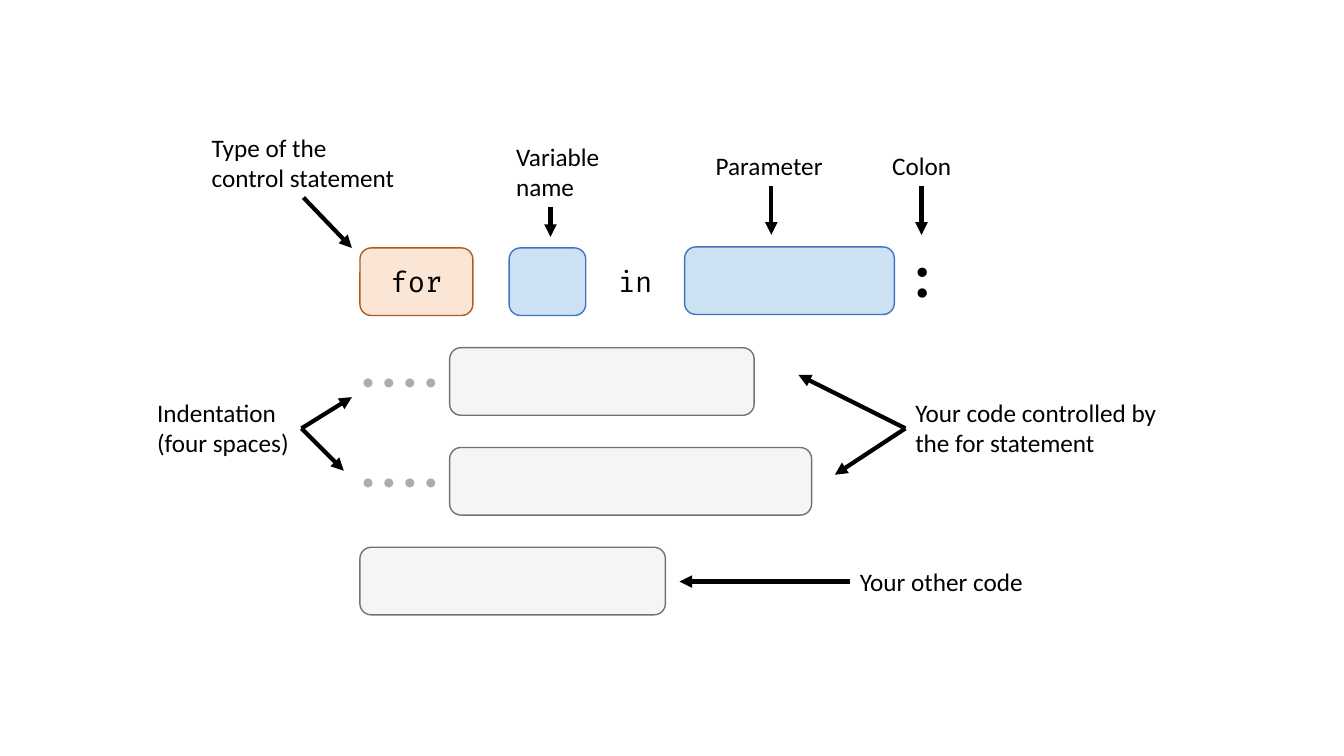
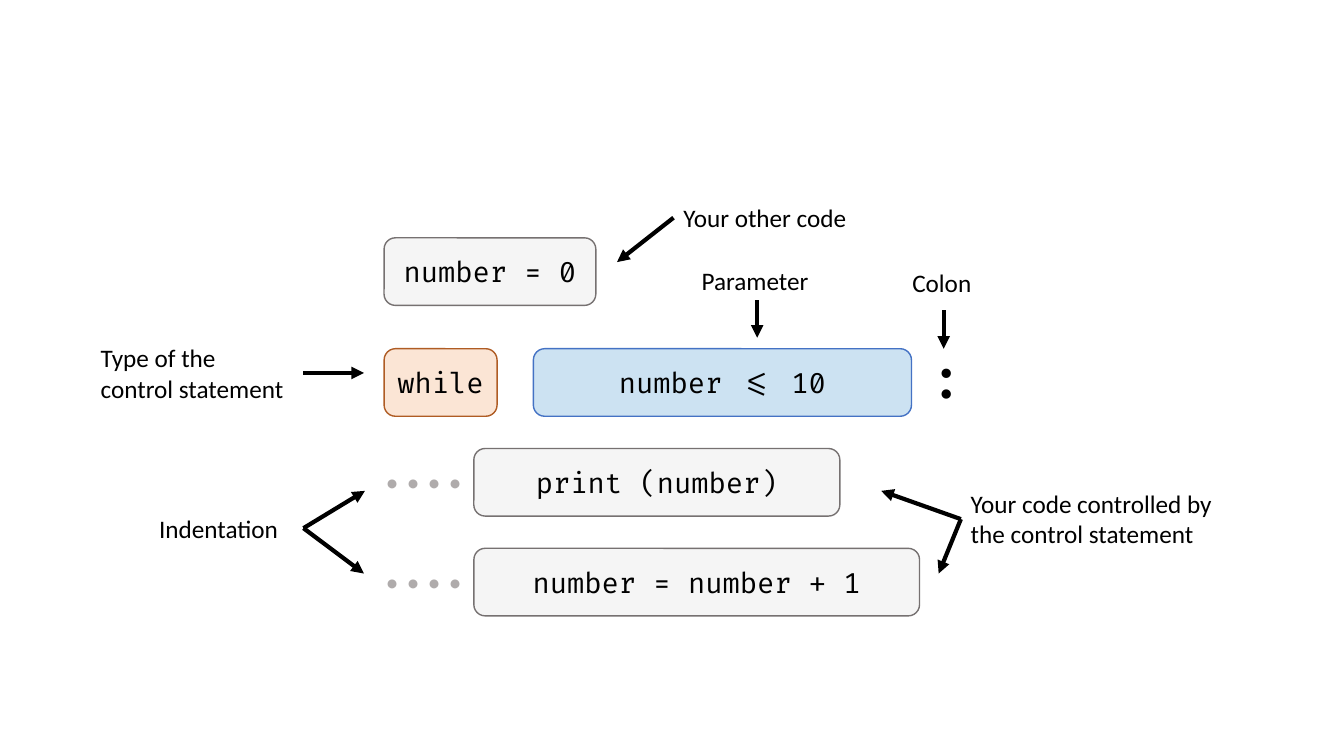
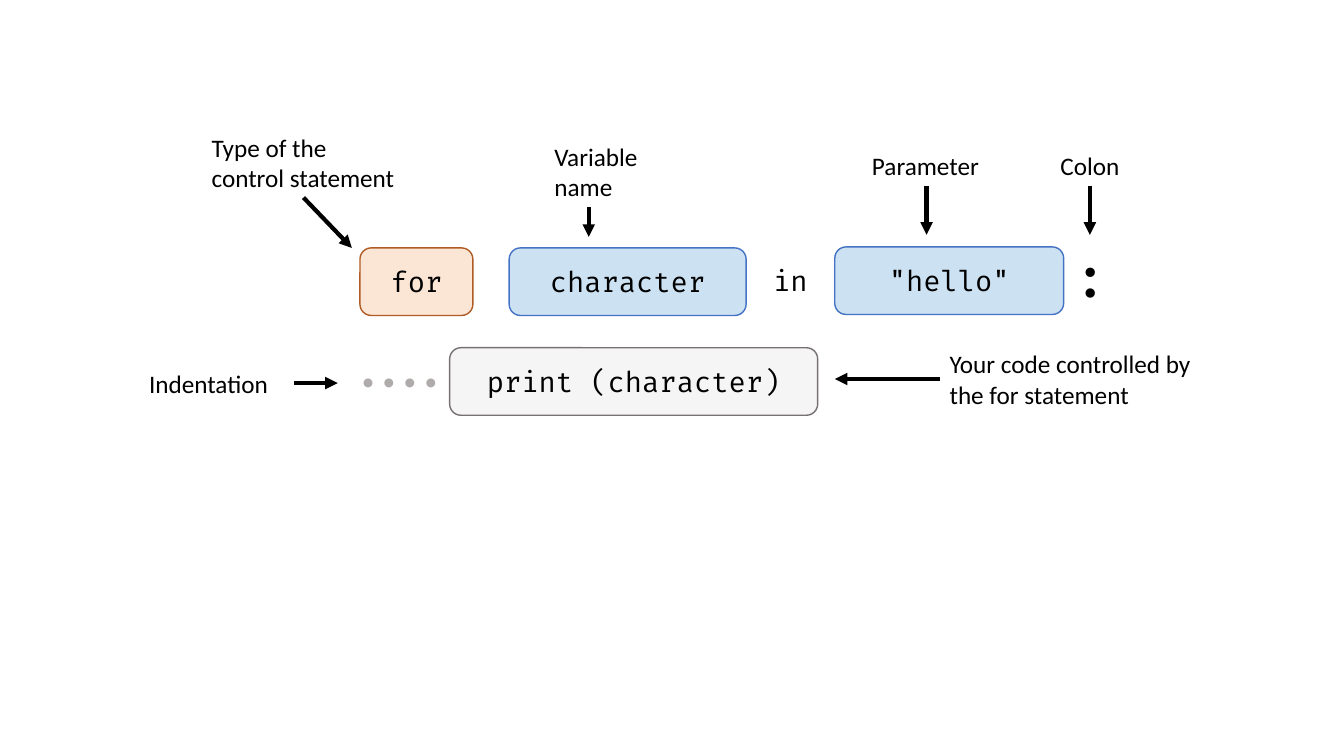
"""Build three diagrams that label the parts of Python loop statements."""
from lxml import etree
from pptx import Presentation
from pptx.dml.color import RGBColor
from pptx.enum.shapes import MSO_CONNECTOR, MSO_SHAPE
from pptx.enum.text import MSO_ANCHOR, MSO_AUTO_SIZE, PP_ALIGN
from pptx.oxml.ns import qn
from pptx.util import Inches, Pt

COLORS = {"text": "000000", "dots": "AFABAB"}
BLOCK_STYLES = {
    "keyword": ("ED7D31", "AF5C24"),
    "slot": ("0070C0", "4472C4"),
    "code": ("D0CECE", "767171"),
    "indented": ("D0CECE", "767171"),
    "word": None,
}
BLOCK_HEIGHT = 0.67
NOTE_HEIGHTS = {1: 0.4, 2: 0.71}
ROW_STEP = 0.99
FOR_ROWS = [2.46 + ROW_STEP * row for row in range(4)]
WHILE_ROWS = [3.46 + ROW_STEP * row for row in range(3)]
STATEMENT_TYPE = "Type of the control statement"
FOR_BODY = "Your code controlled by the for statement"

DIAGRAMS = [
    {
        "blocks": [
            ("keyword", "for", 3.57, FOR_ROWS[0], 1.12),
            ("slot", "", 5.05, FOR_ROWS[0], 0.76),
            ("word", "in", 5.99, FOR_ROWS[0], 0.62),
            ("slot", "", 6.79, 2.45, 2.08),
            ("indented", "", 4.46, FOR_ROWS[1], 3.02),
            ("indented", "", 4.46, FOR_ROWS[2], 3.59),
            ("code", "", 3.57, FOR_ROWS[3], 3.03),
        ],
        "colon": (8.88, 2.35),
        "notes": [
            (STATEMENT_TYPE, 2, 1.26, 2.02, 2),
            ("Variable name", 5.02, 1.35, 1.29, 2),
            ("Parameter", 7, 1.44, 1.29, 1),
            ("Colon", 8.75, 1.44, 0.93, 1),
            ("Indentation (four spaces)", 1.46, 3.89, 1.53, 2),
            (FOR_BODY, 8.98, 3.89, 2.73, 2),
            ("Your other code", 8.43, 5.57, 2.73, 1),
        ],
        "arrows": [
            (3.01, 1.96, 3.49, 2.46),
            (5.46, 2.05, 5.46, 2.35),
            (7.65, 1.85, 7.65, 2.33),
            (9.14, 1.85, 9.14, 2.33),
            (2.99, 4.25, 3.49, 3.94),
            (2.99, 4.25, 3.41, 4.67),
            (8.98, 4.25, 7.92, 3.72),
            (8.98, 4.25, 8.28, 4.71),
            (8.43, 5.77, 6.74, 5.77),
        ],
    },
    {
        "blocks": [
            ("code", "number = 0", 3.81, 2.36, 2.1),
            ("keyword", "while", 3.81, WHILE_ROWS[0], 1.12),
            ("slot", "number <= 10", 5.29, WHILE_ROWS[0], 3.75),
            ("indented", "print (number)", 4.7, WHILE_ROWS[1], 3.63),
            ("indented", "number = number + 1", 4.7, WHILE_ROWS[2], 4.42),
        ],
        "colon": (9.12, 3.35),
        "notes": [
            ("Your other code", 6.68, 1.96, 1.98, 1),
            (STATEMENT_TYPE, 0.9, 3.35, 2.02, 2),
            ("Parameter", 6.86, 2.58, 1.29, 1),
            ("Colon", 8.95, 2.6, 0.86, 1),
            ("Indentation", 1.48, 5.04, 1.53, 1),
            ("Your code controlled by the control statement", 9.53, 4.79, 2.73, 2),
        ],
        "arrows": [
            (6.68, 2.16, 6.12, 2.6),
            (3.01, 3.7, 3.61, 3.7),
            (7.51, 2.98, 7.51, 3.35),
            (9.36, 3.08, 9.36, 3.46),
            (3.01, 5.24, 3.62, 4.87),
            (3.01, 5.24, 3.61, 5.69),
            (9.53, 5.15, 8.74, 4.87),
            (9.53, 5.15, 9.31, 5.69),
        ],
    },
    {
        "blocks": [
            ("keyword", "for", 3.57, FOR_ROWS[0], 1.12),
            ("slot", "character", 5.05, FOR_ROWS[0], 2.35),
            ("word", "in", 7.53, 2.45, 0.62),
            ("slot", "\"hello\"", 8.28, 2.45, 2.27),
            ("indented", "print (character)", 4.46, FOR_ROWS[1], 3.65),
        ],
        "colon": (10.55, 2.35),
        "notes": [
            (STATEMENT_TYPE, 2, 1.26, 2.02, 2),
            ("Variable name", 5.4, 1.35, 1.29, 2),
            ("Parameter", 8.55, 1.44, 1.29, 1),
            ("Colon", 10.42, 1.44, 0.93, 1),
            ("Indentation", 1.38, 3.6, 1.53, 1),
            (FOR_BODY, 9.32, 3.41, 2.73, 2),
        ],
        "arrows": [
            (3.01, 1.96, 3.49, 2.46),
            (5.84, 2.05, 5.84, 2.35),
            (9.19, 1.85, 9.19, 2.33),
            (10.81, 1.85, 10.81, 2.33),
            (2.92, 3.8, 3.35, 3.8),
            (9.32, 3.76, 8.28, 3.76),
        ],
    },
]


def write(frame, text, size, font, color="text"):
    """Put one formatted paragraph into a text frame."""
    frame.word_wrap = True
    para = frame.paragraphs[0]
    para.text = text
    para.font.size = Pt(size)
    para.font.name = font
    para.font.color.rgb = RGBColor.from_string(COLORS[color])
    return para


def add_label(page, text, left, top, width, height, size=18, font="Calibri", color="text"):
    """Add a text box that grows with its text."""
    box = page.shapes.add_textbox(Inches(left), Inches(top), Inches(width), Inches(height))
    box.text_frame.auto_size = MSO_AUTO_SIZE.SHAPE_TO_FIT_TEXT
    return write(box.text_frame, text, size, font, color)


deck = Presentation()
deck.slide_width = Inches(13.33)
deck.slide_height = Inches(7.5)
blank_layout = deck.slide_layouts[6]

for diagram in DIAGRAMS:
    page = deck.slides.add_slide(blank_layout)

    for style, text, left, top, width in diagram["blocks"]:
        block = page.shapes.add_shape(
            MSO_SHAPE.ROUNDED_RECTANGLE,
            Inches(left), Inches(top), Inches(width), Inches(BLOCK_HEIGHT),
        )
        block.shadow.inherit = False
        if BLOCK_STYLES[style]:
            fill, outline = BLOCK_STYLES[style]
            block.fill.solid()
            block.fill.fore_color.rgb = RGBColor.from_string(fill)
            tint = block.fill._xPr.find(qn("a:solidFill"))[0]
            etree.SubElement(tint, qn("a:alpha"), val="20000")
            block.line.color.rgb = RGBColor.from_string(outline)
            block.line.width = Pt(1)
        else:
            block.fill.background()
            block.line.fill.background()
        if text:
            block.text_frame.vertical_anchor = MSO_ANCHOR.MIDDLE
            write(block.text_frame, text, 20, "Fira Code").alignment = PP_ALIGN.CENTER
        if style == "indented":
            dots = add_label(page, "••••", left - 0.97, top + 0.13, 1.28, 0.4, color="dots")
            dots.runs[0].font._element.set("spc", "600")

    add_label(page, ":", *diagram["colon"], 0.69, 0.77, size=40, font="Fira Code")

    for text, left, top, width, lines in diagram["notes"]:
        add_label(page, text, left, top, width, NOTE_HEIGHTS[lines])

    for ends in diagram["arrows"]:
        arrow = page.shapes.add_connector(MSO_CONNECTOR.STRAIGHT, *map(Inches, ends))
        arrow.line.color.rgb = RGBColor.from_string(COLORS["text"])
        arrow.line.width = Pt(3)
        etree.SubElement(arrow.line._get_or_add_ln(), qn("a:tailEnd"), type="triangle")
        etree.SubElement(arrow._element.spPr, qn("a:effectLst"))

deck.save("out.pptx")
